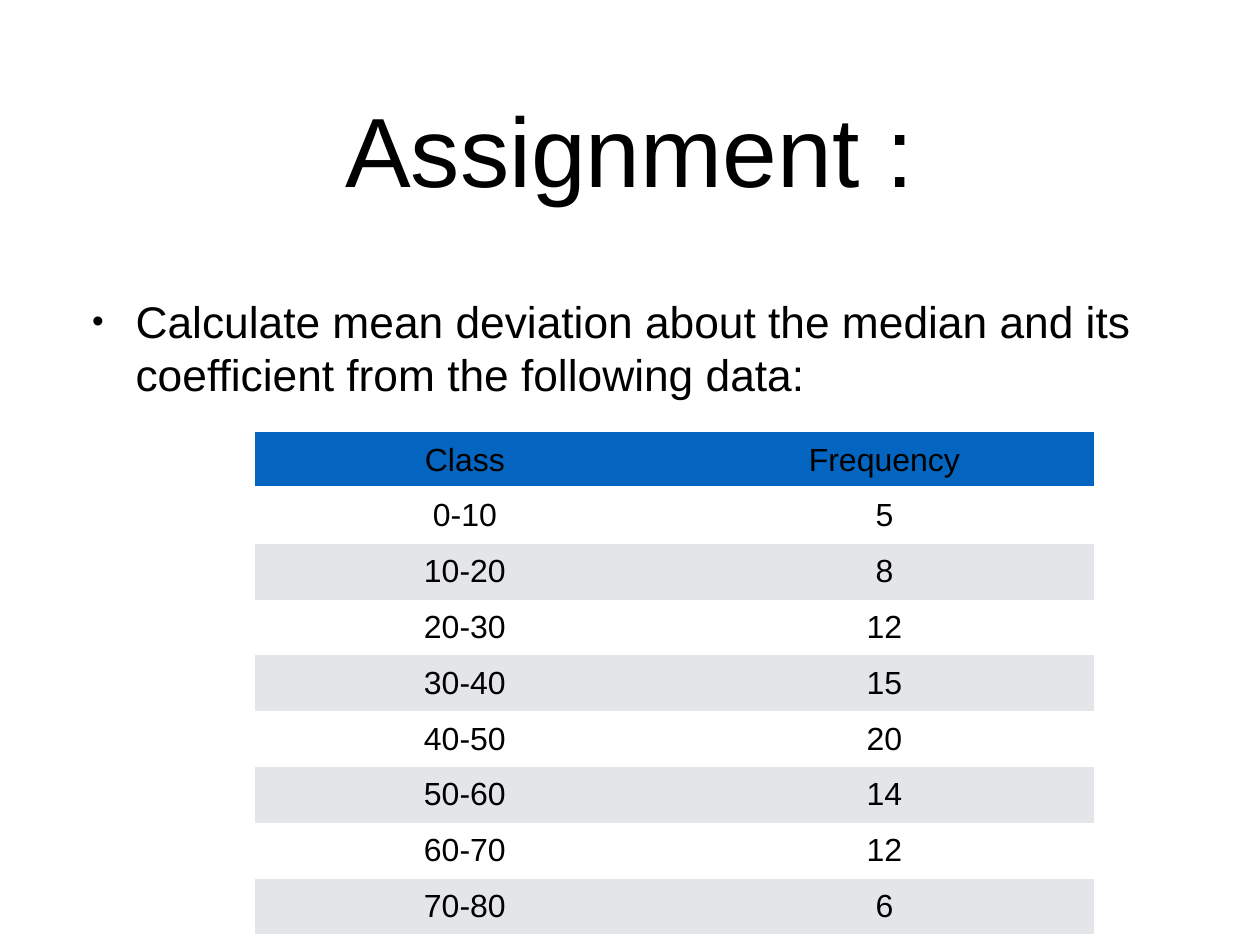
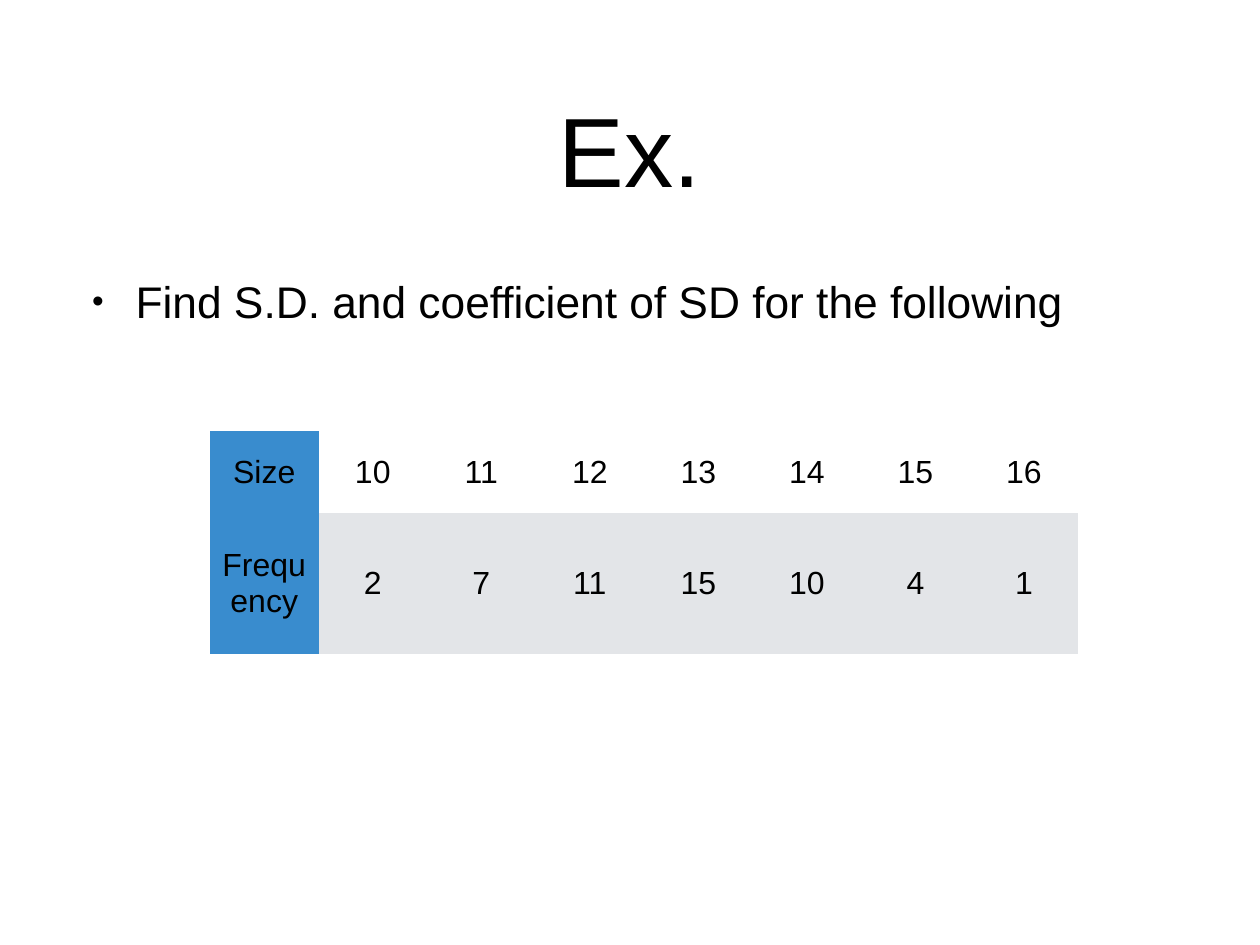
"""Build two statistics exercise slides, each with a title, a task and a data table."""
from lxml import etree
from pptx import Presentation, util as u
from pptx.dml.color import RGBColor
from pptx.enum import text as t
from pptx.oxml import parse_xml
from pptx.oxml.ns import qn

HUES = {"ink": "000000", "paper": "FFFFFF", "band": "E3E5E8", "blue": "0365C0", "sky": "398CCE"}
FONT = "Arial"
PLAIN = "{2D5ABB26-0587-4C30-8999-92F81FD0307C}"
RULE = (
    '<a:lnB xmlns:a="http://schemas.openxmlformats.org/drawingml/2006/main" w="38100">'
    f'<a:solidFill><a:srgbClr val="{HUES["paper"]}"/></a:solidFill></a:lnB>'
)


def write(frame, words, size, align=t.PP_ALIGN.CENTER, inset=0):
    frame.word_wrap = True
    frame.vertical_anchor = t.MSO_ANCHOR.MIDDLE
    frame.margin_left = frame.margin_right = u.Inches(inset)
    frame.margin_top = frame.margin_bottom = u.Inches(inset)
    para = frame.paragraphs[0]
    para.alignment = align
    run = para.add_run()
    run.text = words
    run.font.size = u.Pt(size)
    run.font.name = FONT
    run.font.bold = False
    run.font.color.rgb = RGBColor.from_string(HUES["ink"])
    return para


def place(shape, left, top, width, height):
    shape.left, shape.top = u.Inches(left), u.Inches(top)
    shape.width, shape.height = u.Inches(width), u.Inches(height)


counts = [5, 8, 12, 15, 20, 14, 12, 6]
classes = [(f"{10 * i}-{10 * i + 10}", n) for i, n in enumerate(counts)]
pages = [
    dict(title="Assignment :", top=0.48, head="row", hue="blue",
         task="Calculate mean deviation about the median and its coefficient from the following data:",
         rows=[("Class", "Frequency"), *classes],
         box=(2.88, 4.88, 9.47, 5.67), tall=[0.63] * 9),
    dict(title="Ex.", top=-0.04, head="col", hue="sky",
         task="Find S.D. and coefficient of SD for the following",
         rows=[("Size", *range(10, 17)), ("Frequency", 2, 7, 11, 15, 10, 4, 1)],
         box=(2.37, 4.87, 9.8, 2.51), tall=[0.92, 1.59]),
]

deck = Presentation()
deck.slide_width, deck.slide_height = u.Inches(14.22), u.Inches(10.67)

for page in pages:
    slide = deck.slides.add_slide(deck.slide_layouts[1])
    title, body = slide.shapes.title, slide.placeholders[1]
    place(title, 1.04, 0.49, 12.14, 2.36)
    place(body, 1.04, page["top"], 12.14, 6.88)
    for shape in (title, body):
        shape.text_frame.auto_size = t.MSO_AUTO_SIZE.NONE
    write(title.text_frame, page["title"], 80)

    para = write(body.text_frame, page["task"], 36, align=t.PP_ALIGN.LEFT)
    para.space_before = u.Pt(42)
    props = para._p.get_or_add_pPr()
    props.set("marL", str(u.Inches(0.49)))
    props.set("indent", str(-u.Inches(0.49)))
    etree.SubElement(props, qn("a:buSzPct"), val="75000")
    etree.SubElement(props, qn("a:buFont"), typeface=FONT)
    etree.SubElement(props, qn("a:buChar"), char="•")

    rows = page["rows"]
    box = [u.Inches(n) for n in page["box"]]
    grid = slide.shapes.add_table(len(rows), len(rows[0]), *box).table
    grid.first_row = grid.horz_banding = False
    grid._tbl.tblPr.find(qn("a:tableStyleId")).text = PLAIN
    for row, tall in zip(grid.rows, page["tall"]):
        row.height = u.Inches(tall)
    for r, row in enumerate(rows):
        for c, item in enumerate(row):
            cell = grid.cell(r, c)
            write(cell.text_frame, str(item), 26)
            cell.vertical_anchor = t.MSO_ANCHOR.MIDDLE
            cell.margin_left = cell.margin_right = u.Inches(0.05)
            cell.margin_top = cell.margin_bottom = u.Inches(0.05)
            head = (r if page["head"] == "row" else c) == 0
            hue = page["hue"] if head else ("band" if r % 2 else "paper")
            if page["head"] == "row" and not head:
                hue = "paper" if r % 2 else "band"
            cell.fill.solid()
            cell.fill.fore_color.rgb = RGBColor.from_string(HUES[hue])
            if head and page["head"] == "row":
                cell._tc.get_or_add_tcPr().insert(0, parse_xml(RULE))

deck.save("out.pptx")
